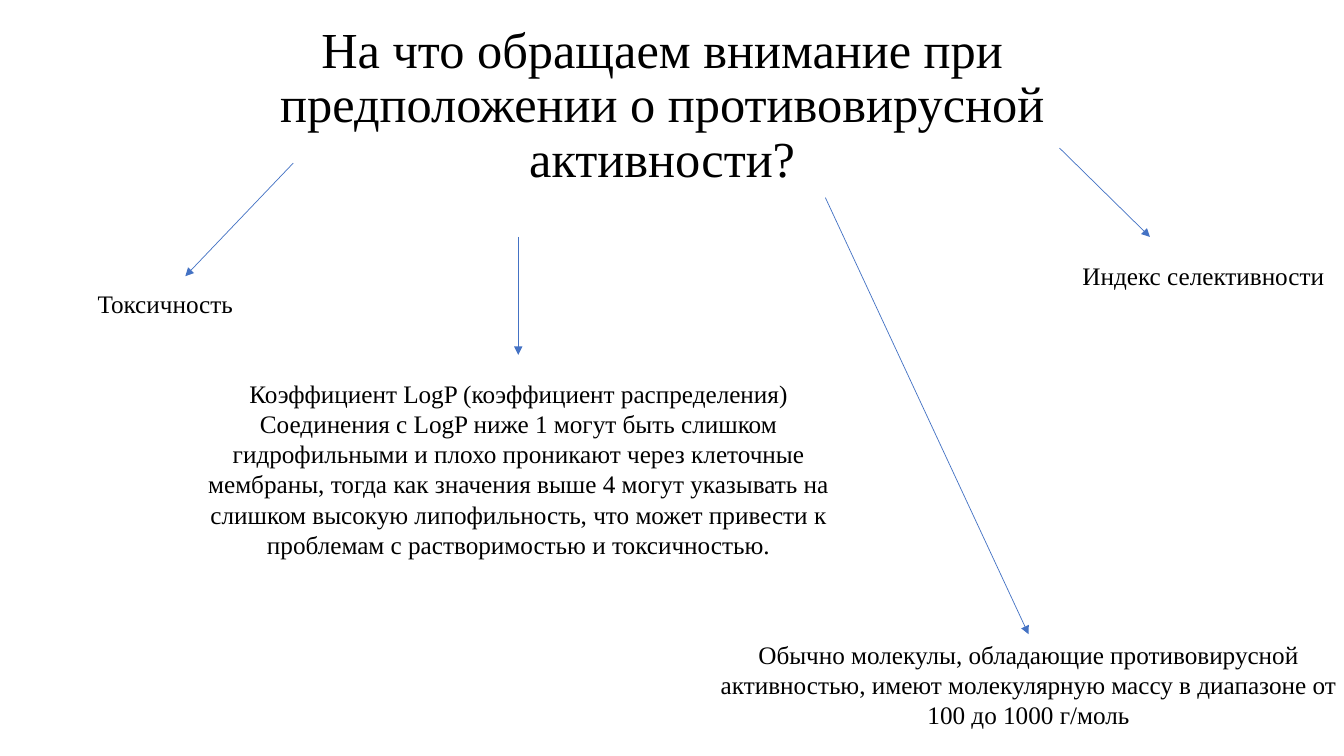
import pptx
import pptx.dml.color
import pptx.enum.shapes
import pptx.enum.text
import pptx.oxml.ns
import pptx.util

Cm, Pt = pptx.util.Cm, pptx.util.Pt
qn = pptx.oxml.ns.qn
MID = {"alignment": pptx.enum.text.PP_ALIGN.CENTER}


def paint(code):
    return pptx.dml.color.RGBColor.from_string(code)


def adapt(item, form):
    """Set each attribute named in form on item."""
    for name, value in form.items():
        setattr(item, name, value)


class Page:
    font = "Times New Roman"
    ink = "000000"
    blue = "4472C4"

    def __init__(self, deck):
        self.slide = deck.slides.add_slide(deck.slide_layouts[5])
        self.shapes = self.slide.shapes

    def label(self, frame, text, size, form, wrap=True):
        """Put styled text into a text frame."""
        adapt(frame, {"word_wrap": wrap, "text": text,
                      "auto_size": pptx.enum.text.MSO_AUTO_SIZE.NONE,
                      "vertical_anchor": pptx.enum.text.MSO_ANCHOR.TOP})
        para = frame.paragraphs[0]
        adapt(para, form)
        font = para.runs[0].font
        adapt(font, {"name": self.font, "size": Pt(size)})
        font.color.rgb = paint(self.ink)

    def title(self, text, left, top, width, height):
        head = self.shapes.title
        adapt(head, {"left": Cm(left), "top": Cm(top),
                     "width": Cm(width), "height": Cm(height)})
        form = {**MID, "line_spacing": 0.9, "space_before": Pt(10)}
        self.label(head.text_frame, text, 36, form)

    def note(self, text, left, top, width, height, form, wrap=True):
        box = self.shapes.add_textbox(Cm(left), Cm(top), Cm(width), Cm(height))
        self.label(box.text_frame, text, 18, form, wrap)
        return box

    def arrow(self, x1, y1, x2, y2, goal=None):
        """Draw an arrow, joined to the top of goal if given."""
        kind = pptx.enum.shapes.MSO_CONNECTOR.STRAIGHT
        link = self.shapes.add_connector(kind, Cm(x1), Cm(y1), Cm(x2), Cm(y2))
        if goal is not None:
            link.end_connect(goal, 0)
        link.line.width = Pt(0.5)
        link.line.color.rgb = paint(self.blue)
        props = link._element.spPr
        line = props.find(qn("a:ln"))
        line.append(line.makeelement(qn("a:tailEnd"), {"type": "triangle"}))
        props.append(props.makeelement(qn("a:effectLst"), {}))


def main():
    deck = pptx.Presentation()
    adapt(deck, {"slide_width": Cm(33.87), "slide_height": Cm(19.05)})
    page = Page(deck)
    page.title("На что обращаем внимание при предположении о "
               "противовирусной активности?", 5.54, 0.5, 22.3, 4.45)

    page.note("Индекс селективности", 27.03, 6.43, 6.83, 1.02, {}, False)
    mass = page.note(
        "Обычно молекулы, обладающие противовирусной активностью, имеют "
        "молекулярную массу в диапазоне от 100 до 1000 г/моль",
        17.45, 15.98, 16.94, 2.57, MID)
    page.note(
        "Коэффициент LogP (коэффициент распределения) Соединения с LogP ниже 1 "
        "могут быть слишком гидрофильными и плохо проникают через клеточные "
        "мембраны, тогда как значения выше 4 могут указывать на слишком высокую "
        "липофильность, что может привести к проблемам с растворимостью и "
        "токсичностью.", 4.6, 9.4, 16.94, 6.83,
        {**MID, "space_before": Pt(12), "space_after": Pt(12)})
    page.note("Токсичность", 2.21, 7.14, 16.94, 1.8, {})

    page.arrow(13.06, 5.97, 13.06, 8.94)
    page.arrow(20.8, 4.98, 25.92, 15.98, mass)
    page.arrow(7.39, 4.11, 4.67, 6.96)
    page.arrow(26.7, 3.73, 28.98, 5.97)
    deck.save("out.pptx")


if __name__ == "__main__":
    main()
